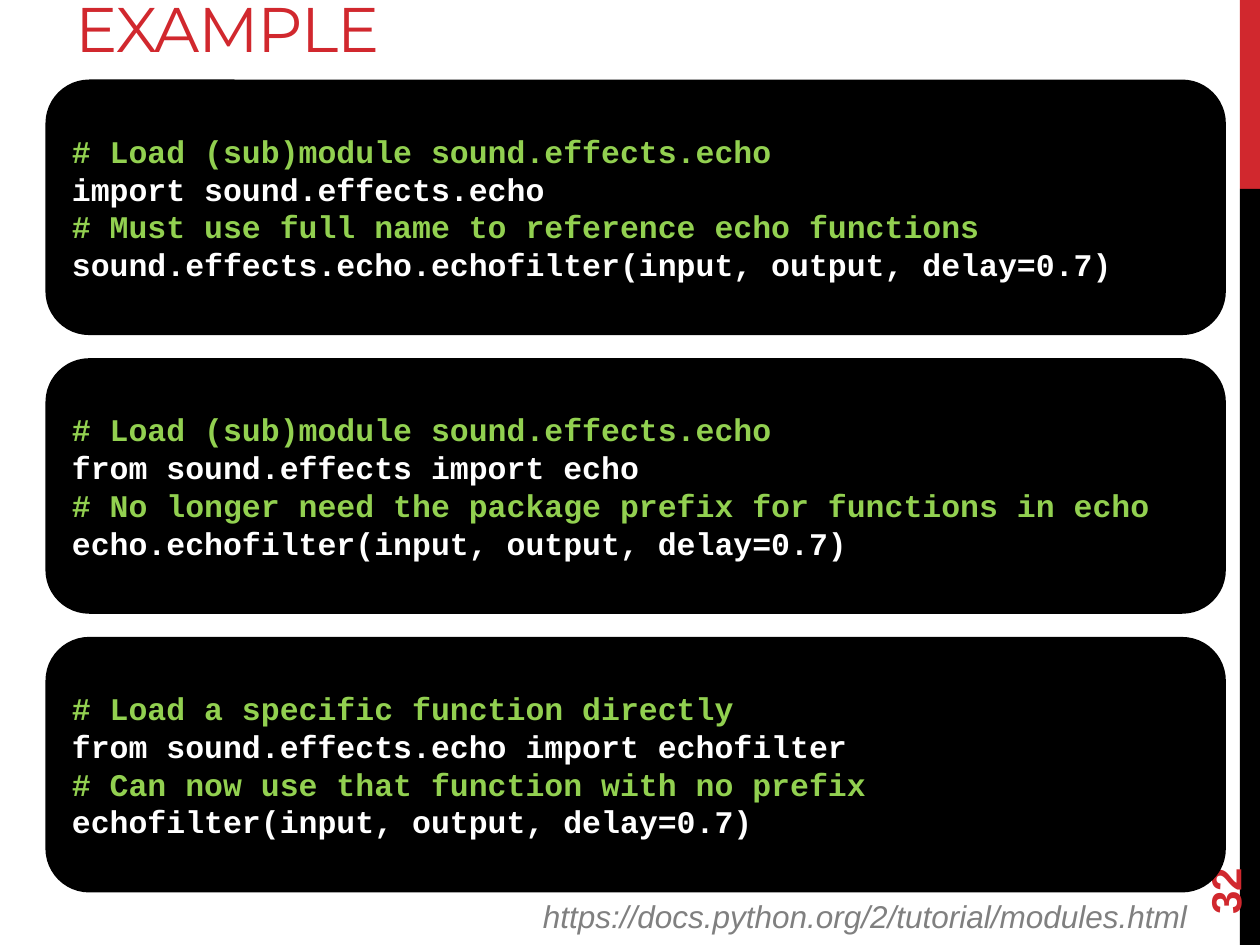
from pptx import Presentation
from pptx.dml.color import RGBColor
from pptx.enum import shapes, text
from pptx.util import Pt

RED = RGBColor(0xD1, 0x28, 0x2E)
BLACK = RGBColor(0, 0, 0)
WHITE = RGBColor(255, 255, 255)
GREEN = RGBColor(0x92, 0xD0, 0x50)
GRAY = RGBColor(0x80, 0x80, 0x80)

EXAMPLES = [
    ["# Load (sub)module sound.effects.echo",
     "import sound.effects.echo",
     "# Must use full name to reference echo functions",
     "sound.effects.echo.echofilter(input, output, delay=0.7)"],
    ["# Load (sub)module sound.effects.echo",
     "from sound.effects import echo",
     "# No longer need the package prefix for functions in echo",
     "echo.echofilter(input, output, delay=0.7)"],
    ["# Load a specific function directly",
     "from sound.effects.echo import echofilter",
     "# Can now use that function with no prefix",
     "echofilter(input, output, delay=0.7)"],
]

deck = Presentation()
deck.slide_width, deck.slide_height = Pt(720), Pt(540)
page = deck.slides.add_slide(deck.slide_layouts[6])


def add_block(kind, left, top, width, height, color):
    block = page.shapes.add_shape(kind, Pt(left), Pt(top), Pt(width), Pt(height))
    block.shadow.inherit = False
    block.fill.solid()
    block.fill.fore_color.rgb = color
    block.line.fill.background()
    return block


def add_label(words, left, top, width, height, font_name, size, color, anchor):
    box = page.shapes.add_textbox(Pt(left), Pt(top), Pt(width), Pt(height))
    box.text_frame.word_wrap = True
    box.text_frame.vertical_anchor = anchor
    para = box.text_frame.paragraphs[0]
    para.text = words
    para.font.name = font_name
    para.font.size = Pt(size)
    para.font.color.rgb = color
    return box, para


for top, height, color in [(0, 108, RED), (108, 432, BLACK)]:
    add_block(shapes.MSO_SHAPE.RECTANGLE, 708.5, top, 11.5, height, color)

title, para = add_label("EXAMPLE", 36, -8.5, 456, 49.5, "Montserrat", 36, RED,
                        text.MSO_ANCHOR.BOTTOM)
para.runs[0].font._element.set("spc", "-60")

number, para = add_label("32", 648, 463.5, 103.5, 29, "Arial", 24, RED,
                         text.MSO_ANCHOR.MIDDLE)
number.rotation = 270
para.font.bold = True

source, para = add_label("https://docs.python.org/2/tutorial/modules.html",
                         0, 509, 685.5, 29, "Arial", 18, GRAY, text.MSO_ANCHOR.TOP)
para.font.italic = True
para.alignment = text.PP_ALIGN.RIGHT

for index, lines in enumerate(EXAMPLES):
    panel = add_block(shapes.MSO_SHAPE.ROUNDED_RECTANGLE,
                      27, 46.5 + index * 159.25, 672.5, 144, BLACK)
    panel.line.color.rgb = BLACK
    panel.line.width = Pt(2)
    frame = panel.text_frame
    frame.word_wrap = True
    frame.vertical_anchor = text.MSO_ANCHOR.MIDDLE
    frame.text = "\n".join(lines)
    for para in frame.paragraphs:
        para.alignment = text.PP_ALIGN.LEFT
        para.font.name = "Courier New"
        para.font.size = Pt(18)
        para.font.bold = True
        para.font.color.rgb = GREEN if para.text.startswith("#") else WHITE

deck.save("out.pptx")
